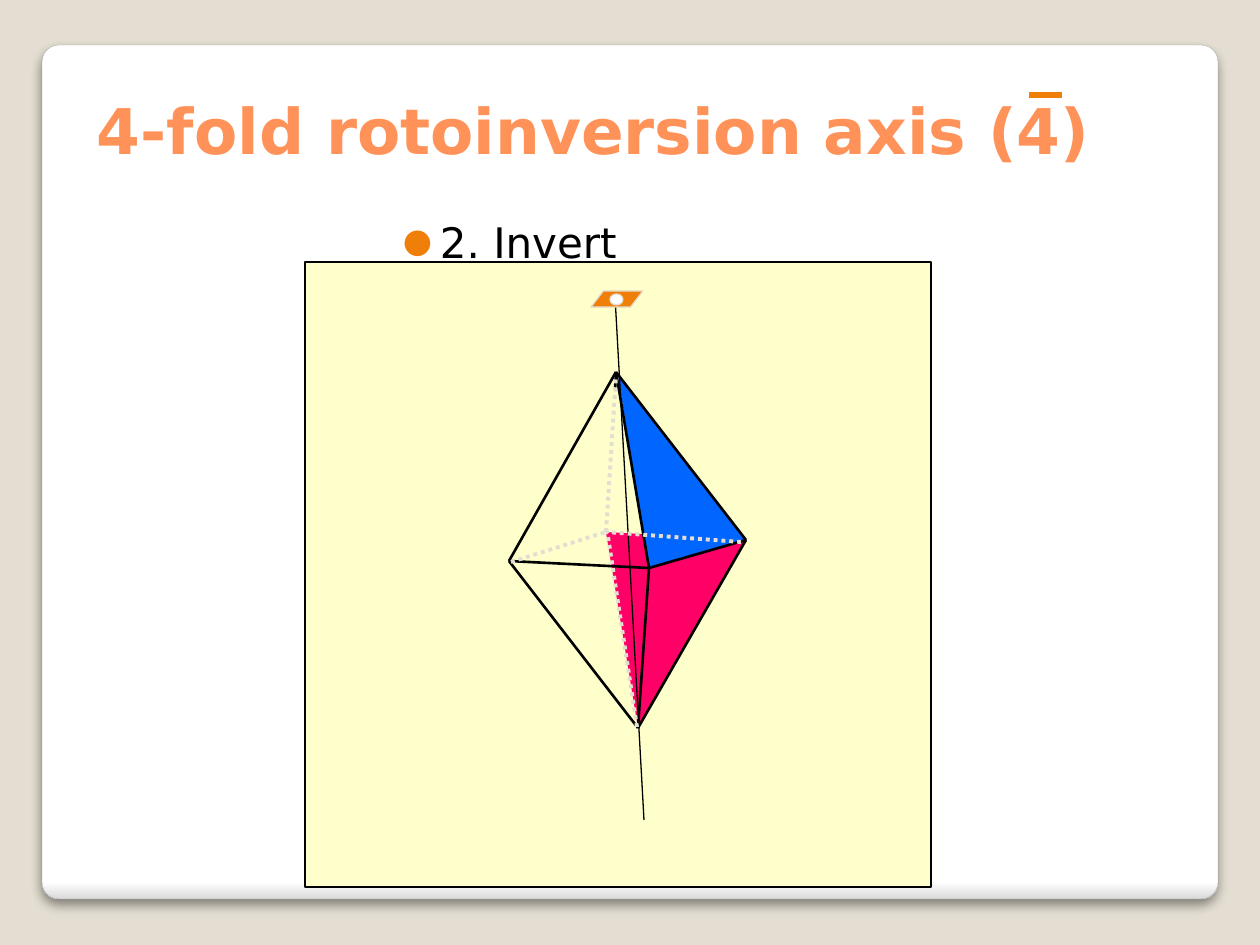
"""Build the slide on the 4-fold rotoinversion axis, step 2."""
from lxml import etree
from pptx import Presentation
from pptx.dml.color import RGBColor
from pptx.enum.dml import MSO_LINE
from pptx.enum.shapes import MSO_CONNECTOR, MSO_SHAPE
from pptx.enum.text import MSO_ANCHOR
from pptx.oxml.ns import qn
from pptx.util import Pt

SCALE = 914400 / 126
FONT = "DejaVu Sans"
COLORS = {
    "background": "E3DED1", "white": "FFFFFF", "card_edge": "DADADA",
    "card_line": "A4A4A4", "panel": "FFFFCC", "black": "000000",
    "pink": "FF0066", "blue": "0066FF", "orange": "F07F09", "title": "FF9258",
}


def px(*lengths):
    return [round(length * SCALE) for length in lengths]


def color(name):
    return RGBColor.from_string(COLORS[name])


presentation = Presentation()
presentation.slide_width, presentation.slide_height = px(1260, 945)
slide = presentation.slides.add_slide(presentation.slide_layouts[6])
slide.background.fill.solid()
slide.background.fill.fore_color.rgb = color("background")
shapes = slide.shapes

card = shapes.add_shape(MSO_SHAPE.ROUNDED_RECTANGLE, *px(42, 45, 1176, 854))
card.adjustments[0] = 0.02
card.fill.gradient()
card.fill.gradient_angle = 270
for stop, position, name in zip(card.fill.gradient_stops, (0.98, 1), ("white", "card_edge")):
    stop.position = position
    stop.color.rgb = color(name)
card.line.color.rgb = color("card_line")
card.line.width = Pt(0.16)
card.shadow.inherit = False
effects = card._element.spPr.find(qn("a:effectLst"))
shadow = etree.SubElement(effects, qn("a:outerShdw"), blurRad=str(Pt(6)),
                          dist=str(Pt(4)), dir="5400000", rotWithShape="0")
shade = etree.SubElement(shadow, qn("a:srgbClr"), val=COLORS["black"])
etree.SubElement(shade, qn("a:alpha"), val="44000")

panel = shapes.add_shape(MSO_SHAPE.RECTANGLE, *px(305, 262, 626, 625))
panel.shadow.inherit = False
panel.fill.solid()
panel.fill.fore_color.rgb = color("panel")
panel.line.color.rgb = color("black")
panel.line.width = Pt(0.75)

top, bottom = (616, 372), (638, 728)
left, right = (509, 561), (746, 540)
front, back = (649, 568), (606, 532)

for face, name in (((back, right, bottom), "pink"), (((618, 375), front, right), "blue")):
    builder = shapes.build_freeform(*face[0], scale=SCALE)
    builder.add_line_segments(face[1:], close=True)
    triangle = builder.convert_to_shape()
    triangle.shadow.inherit = False
    triangle.fill.solid()
    triangle.fill.fore_color.rgb = color(name)
    triangle.line.fill.background()

axis = [((615, 296), (644, 820))]
visible_edges = [
    (top, (615, 391)), (top, front), (top, right), (top, left),
    (front, right), (front, left), (front, bottom),
    (right, bottom), (left, bottom),
]
hidden_edges = [
    ((511, 562), back), (back, (616, 377)), ((741, 542), back), ((637, 727), (607, 530)),
]
overbar = [((1029, 95), (1062, 95))]
line_groups = [
    (axis, "black", 0.75, None),
    (visible_edges, "black", 1.5, None),
    (hidden_edges, "background", 2.25, MSO_LINE.ROUND_DOT),
    (overbar, "orange", 3, None),
]
for edges, name, width, dash in line_groups:
    for start, end in edges:
        edge = shapes.add_connector(MSO_CONNECTOR.STRAIGHT, *px(*start, *end))
        edge.line.color.rgb = color(name)
        edge.line.width = Pt(width)
        if dash:
            edge.line.dash_style = dash
        etree.SubElement(edge._element.spPr, qn("a:effectLst"))

symbol_parts = [
    (MSO_SHAPE.PARALLELOGRAM, (591, 291, 52, 16), "orange"),
    (MSO_SHAPE.OVAL, (610, 294, 13, 11), "white"),
]
for kind, bounds, name in symbol_parts:
    part = shapes.add_shape(kind, *px(*bounds))
    part.shadow.inherit = False
    part.fill.solid()
    part.fill.fore_color.rgb = color(name)
    part.line.color.rgb = color("background")
    part.line.width = Pt(0.75)
    if kind == MSO_SHAPE.PARALLELOGRAM:
        part.adjustments[0] = 0.77

texts = [
    ("2. Invert", (378, 199, 566, 73), (25, 17), MSO_ANCHOR.TOP, 24, "black", False),
    ("4-fold rotoinversion axis (4)", (84, 0, 1071, 173), (13, 6), MSO_ANCHOR.BOTTOM,
     36, "title", True),
]
for text, bounds, insets, anchor, size, name, is_title in texts:
    box = shapes.add_textbox(*px(*bounds))
    text_frame = box.text_frame
    text_frame.word_wrap = True
    text_frame.vertical_anchor = anchor
    text_frame.margin_left, text_frame.margin_top = px(*insets)
    text_frame.text = text
    paragraph = text_frame.paragraphs[0]
    if not is_title:
        properties = paragraph._p.get_or_add_pPr()
        indent = px(37)[0]
        properties.set("marL", str(indent))
        properties.set("indent", str(-indent))
        bullet_color = etree.SubElement(properties, qn("a:buClr"))
        etree.SubElement(bullet_color, qn("a:srgbClr"), val=COLORS["orange"])
        etree.SubElement(properties, qn("a:buSzPct"), val="80000")
        etree.SubElement(properties, qn("a:buFont"), typeface=FONT)
        etree.SubElement(properties, qn("a:buChar"), char="●")
    font = paragraph.runs[0].font
    font.name = FONT
    font.size = Pt(size)
    font.bold = is_title
    font.color.rgb = color(name)

presentation.save("out.pptx")
